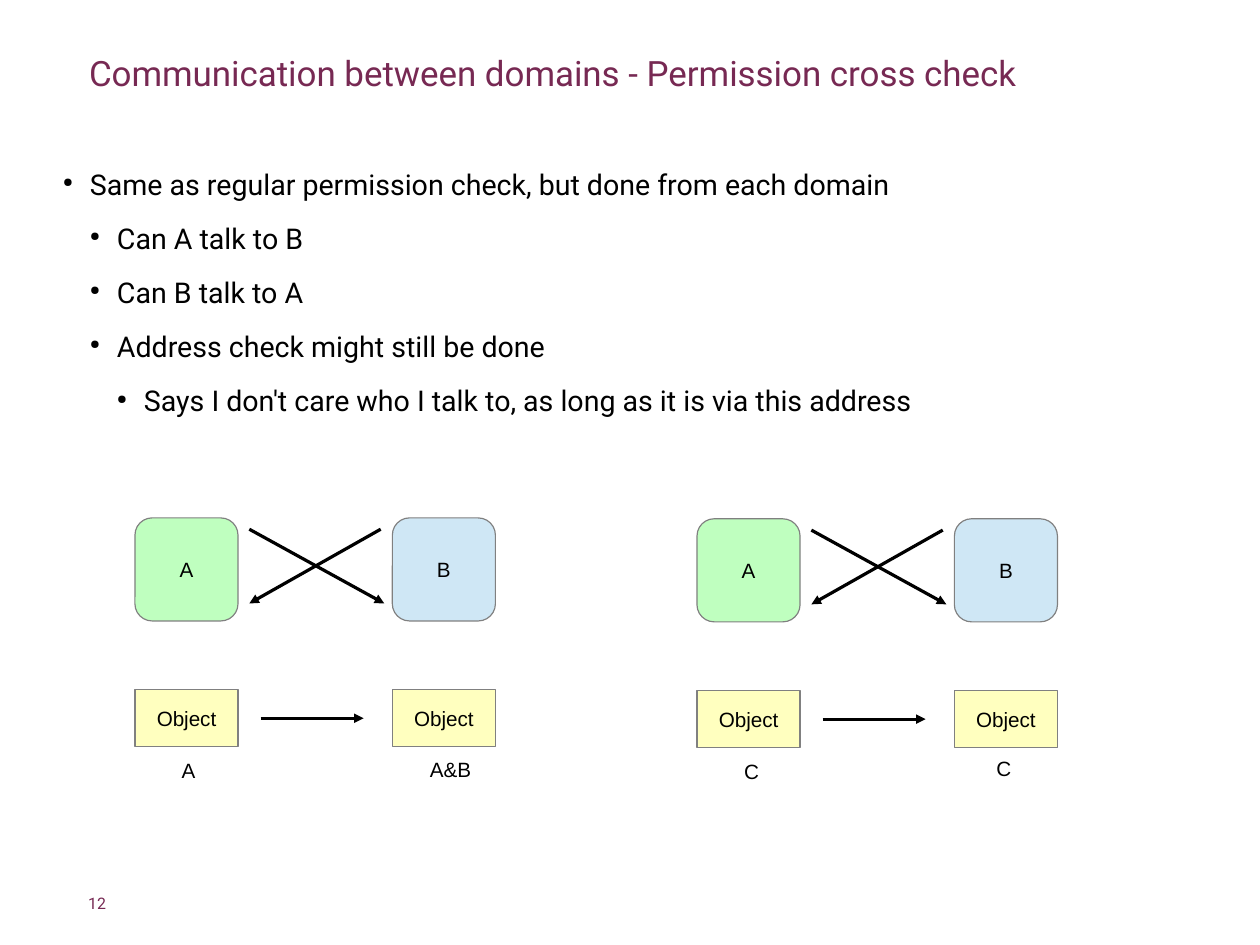
from lxml.etree import SubElement
from pptx import Presentation
from pptx.dml.color import RGBColor
from pptx.enum.shapes import MSO_CONNECTOR, MSO_SHAPE
from pptx.enum.text import MSO_ANCHOR, PP_ALIGN
from pptx.oxml.ns import qn
from pptx.util import Cm, Pt

TITLE = "Communication between domains - Permission cross check"
PAGE_NUMBER = "12"
BULLETS = [  # (level, text)
    (0, "Same as regular permission check, but done from each domain"),
    (1, "Can A talk to B"),
    (1, "Can B talk to A"),
    (1, "Address check might still be done"),
    (2, "Says I don't care who I talk to, as long as it is via this address"),
]
# Lengths are in cm. Each label is (text, centre x, top) relative to its diagram.
DIAGRAMS = [
    {"left": 3, "top": 11.51, "labels": [("A", 1.19, 5.21), ("A&B", 7.01, 5.18)]},
    {"left": 15.49, "top": 11.53, "labels": [("C", 1.21, 5.21), ("C", 6.82, 5.13)]},
]
# (fill, opacity in percent)
DOMAINS = [("A", ("00FF00", 25)), ("B", ("CFE7F5", 100))]
OBJECT_FILL = ("FFFF00", 25)
ARROWS = [  # (x1, y1, x2, y2) relative to the diagram
    (2.54, 0.25, 5.54, 1.9),
    (5.46, 0.25, 2.54, 1.9),
    (2.79, 4.45, 5.08, 4.45),
]
PLUM, BLACK, GREY = "772953", "000000", "808080"
BOX_WIDTH, DOMAIN_HEIGHT, OBJECT_HEIGHT = 2.29, 2.29, 1.27
COLUMN_STEP, OBJECT_DROP = 5.72, 3.81
LABEL_WIDTH, LABEL_HEIGHT = 1.42, 0.76
INDENT = 0.6


def rgb(hex_color):
    return RGBColor.from_string(hex_color)


def write(frame, text, size=13, font="Arial", color=BLACK, align=PP_ALIGN.LEFT,
          anchor=MSO_ANCHOR.TOP, margins=(0.25, 0.13), wrap=False, new=False):
    """Put one formatted paragraph in a text frame and return it."""
    frame.word_wrap = wrap
    frame.vertical_anchor = anchor
    frame.margin_left = frame.margin_right = Cm(margins[0])
    frame.margin_top = frame.margin_bottom = Cm(margins[1])
    paragraph = frame.add_paragraph() if new else frame.paragraphs[0]
    paragraph.alignment = align
    run = paragraph.add_run()
    run.text = text
    run.font.size = Pt(size)
    run.font.name = font
    run.font.color.rgb = rgb(color)
    return paragraph


def add_text_frame(shapes, left, top, width, height):
    return shapes.add_textbox(Cm(left), Cm(top), Cm(width), Cm(height)).text_frame


def add_bullet(paragraph, level):
    paragraph.level = level
    paragraph.line_spacing = 1.25
    paragraph.space_after = Pt(7.1)
    properties = paragraph._p.get_or_add_pPr()
    properties.set("marL", str(Cm(INDENT * (level + 1))))
    properties.set("indent", str(-Cm(INDENT)))
    bullet_color = SubElement(properties, qn("a:buClr"))
    SubElement(bullet_color, qn("a:srgbClr"), val=BLACK)
    SubElement(properties, qn("a:buSzPct"), val="45000")
    SubElement(properties, qn("a:buChar"), char="●")


def add_box(shapes, preset, text, fill, left, top, height):
    box = shapes.add_shape(preset, Cm(left), Cm(top), Cm(BOX_WIDTH), Cm(height))
    box.shadow.inherit = False
    color, opacity = fill
    box.fill.solid()
    box.fill.fore_color.rgb = rgb(color)
    if opacity < 100:
        color_node = box.fill._xPr.find(qn("a:solidFill")).find(qn("a:srgbClr"))
        SubElement(color_node, qn("a:alpha"), val=str(opacity * 1000))
    box.line.color.rgb = rgb(GREY)
    box.line.width = Pt(0)
    write(box.text_frame, text, align=PP_ALIGN.CENTER, anchor=MSO_ANCHOR.MIDDLE)


def add_arrow(shapes, x1, y1, x2, y2):
    arrow = shapes.add_connector(MSO_CONNECTOR.STRAIGHT, Cm(x1), Cm(y1), Cm(x2), Cm(y2))
    arrow.line.color.rgb = rgb(BLACK)
    arrow.line.width = Pt(0)
    SubElement(arrow.line._get_or_add_ln(), qn("a:tailEnd"), type="triangle")
    SubElement(arrow._element.spPr, qn("a:effectLst"))


def add_diagram(slide, left, top, labels):
    """Draw two domains with crossing arrows above their two objects."""
    shapes = slide.shapes.add_group_shape().shapes
    for column, (domain, fill) in enumerate(DOMAINS):
        x = left + column * COLUMN_STEP
        add_box(shapes, MSO_SHAPE.ROUNDED_RECTANGLE, domain, fill, x, top, DOMAIN_HEIGHT)
        add_box(shapes, MSO_SHAPE.RECTANGLE, "Object", OBJECT_FILL,
                x, top + OBJECT_DROP, OBJECT_HEIGHT)
    for x1, y1, x2, y2 in ARROWS:
        add_arrow(shapes, left + x1, top + y1, left + x2, top + y2)
    for text, center, drop in labels:
        label = add_text_frame(shapes, left + center - LABEL_WIDTH / 2, top + drop,
                               LABEL_WIDTH, LABEL_HEIGHT)
        write(label, text, align=PP_ALIGN.CENTER)


def main():
    presentation = Presentation()
    presentation.slide_width, presentation.slide_height = Cm(28), Cm(21)
    slide = presentation.slides.add_slide(presentation.slide_layouts[6])

    roboto = {"font": "Roboto", "margins": (0, 0), "wrap": True}
    page_number = add_text_frame(slide.shapes, 1.96, 19.86, 13.64, 0.48)
    write(page_number, PAGE_NUMBER, size=10, color=PLUM, **roboto)
    title = add_text_frame(slide.shapes, 1.98, 1.19, 22.53, 0.86)
    write(title, TITLE, size=22, color=PLUM, anchor=MSO_ANCHOR.MIDDLE, **roboto)
    body = add_text_frame(slide.shapes, 1.4, 3.51, 25.2, 15.49)
    for index, (level, text) in enumerate(BULLETS):
        add_bullet(write(body, text, size=18, new=index > 0, **roboto), level)

    for diagram in DIAGRAMS:
        add_diagram(slide, **diagram)
    presentation.save("out.pptx")


if __name__ == "__main__":
    main()
